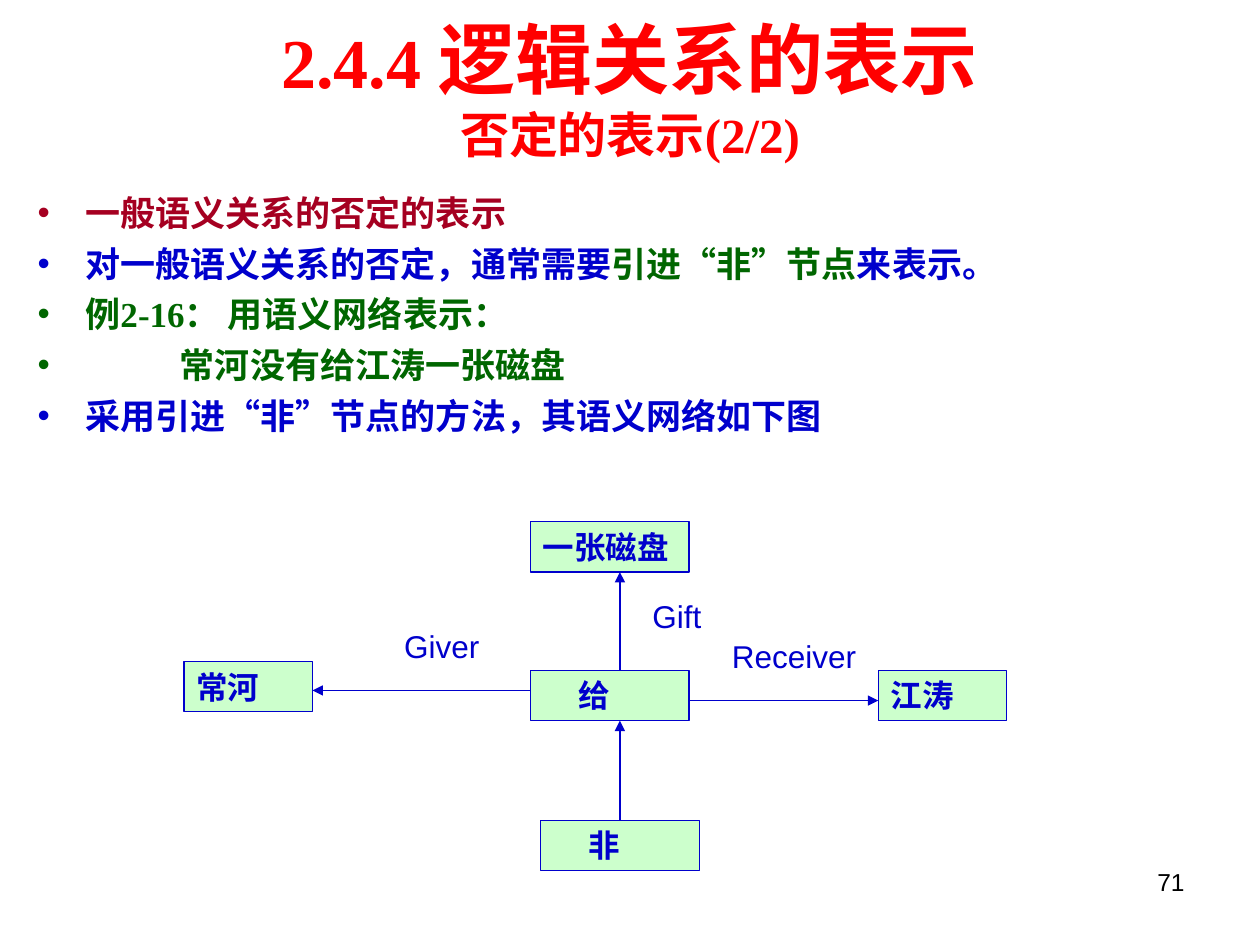
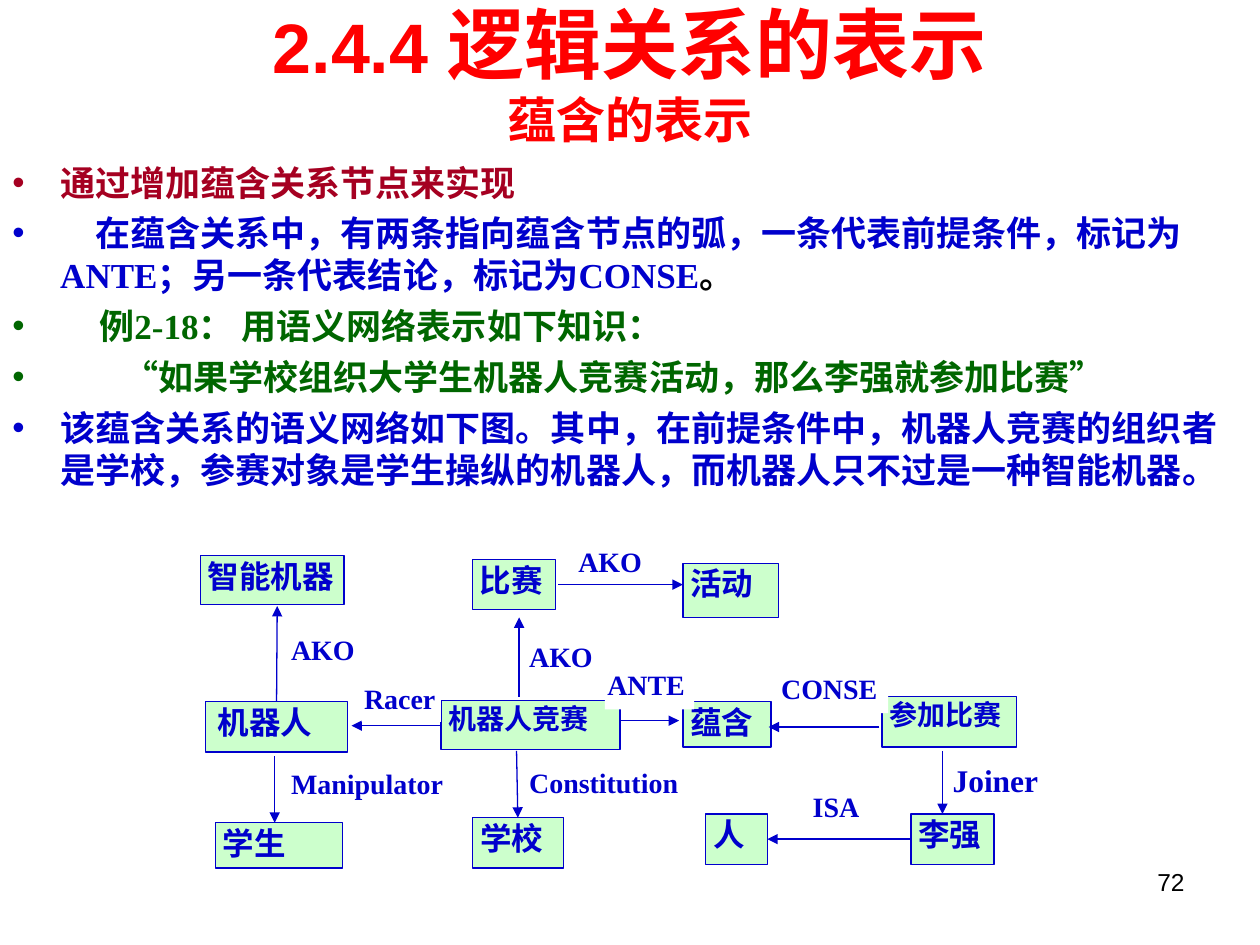
from lxml import etree
from pptx import Presentation
from pptx.dml.color import RGBColor
from pptx.enum import shapes, text
from pptx.oxml import ns
from pptx.util import Inches, Pt

RED = RGBColor(0xFF, 0x00, 0x00)
CRIMSON = RGBColor(0xA5, 0x00, 0x21)
BLUE = RGBColor(0x00, 0x00, 0xCC)
GREEN = RGBColor(0x00, 0x66, 0x00)
MINT = RGBColor(0xCC, 0xFF, 0xCC)
WHITE = RGBColor(0xFF, 0xFF, 0xFF)
BLACK = RGBColor(0x00, 0x00, 0x00)
SANS = "Arial"
SERIF = "Times New Roman"
HANG = 0.38


def add_text(slide, box, paragraphs, size=18, color=BLUE, font=SERIF, bold=True,
             align=text.PP_ALIGN.LEFT, anchor=text.MSO_ANCHOR.TOP,
             insets=(0.1, 0.05, 0.1, 0.05), fill=None, line=None, bullets=False):
    box = [Inches(value) for value in box]
    if fill is None:
        shape = slide.shapes.add_textbox(*box)
    else:
        shape = slide.shapes.add_shape(shapes.MSO_SHAPE.RECTANGLE, *box)
        shape.shadow.inherit = False
        shape.fill.solid()
        shape.fill.fore_color.rgb = fill
        if line is None:
            shape.line.fill.background()
        else:
            shape.line.color.rgb = line
            shape.line.width = Pt(0.75)
    frame = shape.text_frame
    frame.word_wrap = True
    frame.vertical_anchor = anchor
    (frame.margin_left, frame.margin_top,
     frame.margin_right, frame.margin_bottom) = [Inches(value) for value in insets]
    if isinstance(paragraphs, str):
        paragraphs = [(0, [(paragraphs, color, size)])]
    for number, (indent, runs) in enumerate(paragraphs):
        paragraph = frame.add_paragraph() if number else frame.paragraphs[0]
        paragraph.alignment = align
        properties = paragraph._p.get_or_add_pPr()
        if indent:
            properties.set("marL", str(Inches(indent)))
        if bullets:
            paragraph.space_before = Pt(5)
            properties.set("indent", str(-Inches(indent)))
            bullet_color = etree.SubElement(properties, ns.qn("a:buClr"))
            etree.SubElement(bullet_color, ns.qn("a:srgbClr"), val=str(runs[0][1]))
            etree.SubElement(properties, ns.qn("a:buFont"), typeface=SANS)
            etree.SubElement(properties, ns.qn("a:buChar"), char="•")
        for words, run_color, run_size in runs:
            run = paragraph.add_run()
            run.text = words
            run.font.name = font
            run.font.size = Pt(run_size)
            run.font.bold = bold
            run.font.color.rgb = run_color
    return shape


def add_arrow(slide, start, end, begin=None, finish=None):
    points = [Inches(value) for value in (*start, *end)]
    connector = slide.shapes.add_connector(shapes.MSO_CONNECTOR.STRAIGHT, *points)
    if begin:
        connector.begin_connect(*begin)
    if finish:
        connector.end_connect(*finish)
    connector.line.color.rgb = BLUE
    connector.line.width = Pt(0.75)
    etree.SubElement(connector.line._get_or_add_ln(), ns.qn("a:tailEnd"), type="triangle")
    etree.SubElement(connector._element.spPr, ns.qn("a:effectLst"))


presentation = Presentation()
presentation.slide_width = Inches(10)
presentation.slide_height = Inches(7.5)

pages = [
    {
        "number": "71", "subtitle": "否定的表示(2/2)", "title_font": SERIF,
        "title_height": 1.39, "body_box": (0.2, 1.47, 9.8, 2.5),
        "body": [
            (HANG, [("一般语义关系的否定的表示", CRIMSON, 20)]),
            (HANG, [("对一般语义关系的否定，通常需要", BLUE, 20),
                    ("引进“非”节点", GREEN, 20), ("来表示。", BLUE, 20)]),
            (HANG, [("例2-16： 用语义网络表示：", GREEN, 20)]),
            (1.13, [("常河没有给江涛一张磁盘", GREEN, 20)]),
            (HANG, [("采用引进“非”节点的方法，其语义网络如下图", BLUE, 20)]),
        ],
    },
    {
        "number": "72", "subtitle": "蕴含的表示", "title_font": SANS,
        "title_height": 1.15, "body_box": (0, 1.23, 10, 2.9),
        "body": [
            (HANG, [("通过增加蕴含关系节点来实现", CRIMSON, 20)]),
            (HANG, [("　在蕴含关系中，有两条指向蕴含节点的弧，一条代表前提条件，"
                     "标记为ANTE；另一条代表结论，标记为CONSE", BLUE, 20),
                    ("。", BLACK, 20)]),
            (0.69, [("例2-18： 用语义网络表示如下知识：", GREEN, 20)]),
            (0.88, [("“如果学校组织大学生机器人竞赛活动，那么李强就参加比赛”", GREEN, 20)]),
            (HANG, [("该蕴含关系的语义网络如下图。其中，在前提条件中，机器人竞赛的"
                     "组织者是学校，参赛对象是学生操纵的机器人，而机器人只不过是"
                     "一种智能机器。", BLUE, 20)]),
        ],
    },
]

slides = []
for page in pages:
    slide = presentation.slides.add_slide(presentation.slide_layouts[6])
    add_text(slide, (7.17, 6.83, 2.33, 0.52), page["number"], size=14, color=BLACK,
             font=SANS, bold=False, align=text.PP_ALIGN.RIGHT)
    title = [(0, [("2.4.4 ", RED, 40), ("逻辑关系的表示", RED, 44)]),
             (0, [(page["subtitle"], RED, 28)])]
    add_text(slide, (0.5, 0, 9, page["title_height"]), title, font=page["title_font"],
             align=text.PP_ALIGN.CENTER, anchor=text.MSO_ANCHOR.MIDDLE)
    add_text(slide, page["body_box"], page["body"], bullets=True)
    slides.append(slide)

negation, implication = slides

negation_nodes = {}
for name, left, top, width, indent in [
    ("一张磁盘", 4.21, 4.14, 1.26, 0),
    ("给", 4.21, 5.32, 1.26, 0.28),
    ("非", 4.29, 6.51, 1.26, 0.28),
    ("常河", 1.46, 5.25, 1.02, 0),
    ("江涛", 6.97, 5.32, 1.02, 0),
]:
    negation_nodes[name] = add_text(
        negation, (left, top, width, 0.4), [(indent, [(name, BLUE, 18)])],
        font=SANS, fill=MINT, line=BLUE)

add_arrow(negation, (5.47, 5.56), (6.97, 5.56))
add_arrow(negation, (4.21, 5.48), (2.48, 5.48))
add_arrow(negation, (4.92, 5.32), (4.92, 4.54))
add_arrow(negation, (4.92, 6.51), (4.92, 5.72), begin=(negation_nodes["非"], 0))

for name, left, top, width in [
    ("Gift", 5.08, 4.69, 0.59),
    ("Giver", 3.11, 4.93, 0.79),
    ("Receiver", 5.71, 5.01, 1.19),
]:
    add_text(negation, (left, top, width, 0.4), name, font=SANS, bold=False,
             insets=(0.1, 0.05, 0, 0.05))

implication_nodes = {}
for name, left, top, width, height, size, inset in [
    ("学校", 3.75, 6.49, 0.72, 0.4, 18, 0.06),
    ("比赛", 3.75, 4.44, 0.66, 0.4, 18, 0.06),
    ("活动", 5.42, 4.47, 0.76, 0.43, 18, 0.06),
    ("机器人", 1.63, 5.57, 1.13, 0.4, 18, 0.1),
    ("机器人竞赛", 3.5, 5.56, 1.42, 0.39, 16, 0.06),
    ("蕴含", 5.42, 5.57, 0.7, 0.36, 18, 0.06),
    ("参加比赛", 7, 5.53, 1.07, 0.4, 16, 0.06),
    ("学生", 1.71, 6.53, 1.01, 0.36, 18, 0.06),
    ("智能机器", 1.59, 4.41, 1.14, 0.39, 18, 0.06),
    ("李强", 7.23, 6.46, 0.66, 0.4, 18, 0.06),
    ("人", 5.6, 6.46, 0.49, 0.4, 18, 0.06),
]:
    implication_nodes[name] = add_text(
        implication, (left, top, width, height), name, size=size,
        insets=(inset, 0.01, 0.06, 0.01), fill=MINT, line=BLUE)

for start, end, begin, finish in [
    ((3.5, 5.76), (2.79, 5.76), None, None),
    ((2.19, 5.57), (2.2, 4.81), (implication_nodes["机器人"], 0), None),
    ((4.12, 5.53), (4.12, 4.9), None, None),
    ((2.18, 6), (2.18, 6.53), None, None),
    ((4.1, 5.96), (4.12, 6.49), None, (implication_nodes["学校"], 0)),
    ((4.92, 5.72), (5.39, 5.72), None, None),
    ((6.98, 5.77), (6.1, 5.77), None, None),
    ((7.48, 5.96), (7.48, 6.46), None, None),
    ((7.23, 6.66), (6.1, 6.66), (implication_nodes["李强"], 1), (implication_nodes["人"], 3)),
    ((4.43, 4.64), (5.42, 4.64), None, None),
]:
    add_arrow(implication, start, end, begin, finish)

for name, left, top, width, height, size in [
    ("Racer", 2.87, 5.4, 0.63, 0.33, 16),
    ("AKO", 2.29, 5.01, 0.74, 0.32, 16),
    ("Constitution", 4.18, 6.07, 1.29, 0.36, 16),
    ("Manipulator", 2.29, 6.07, 1.37, 0.39, 16),
    ("ANTE", 4.8, 5.29, 0.71, 0.34, 16),
    ("CONSE", 6.18, 5.32, 0.87, 0.34, 16),
    ("ISA", 6.43, 6.26, 0.41, 0.33, 16),
    ("AKO", 4.18, 5.07, 0.56, 0.4, 16),
    ("AKO", 4.57, 4.31, 0.6, 0.3, 16),
    ("Joiner", 7.54, 6.03, 0.77, 0.36, 18),
]:
    add_text(implication, (left, top, width, height), name, size=size,
             insets=(0.02, 0.01, 0, 0.01), fill=WHITE)

presentation.save("out.pptx")
